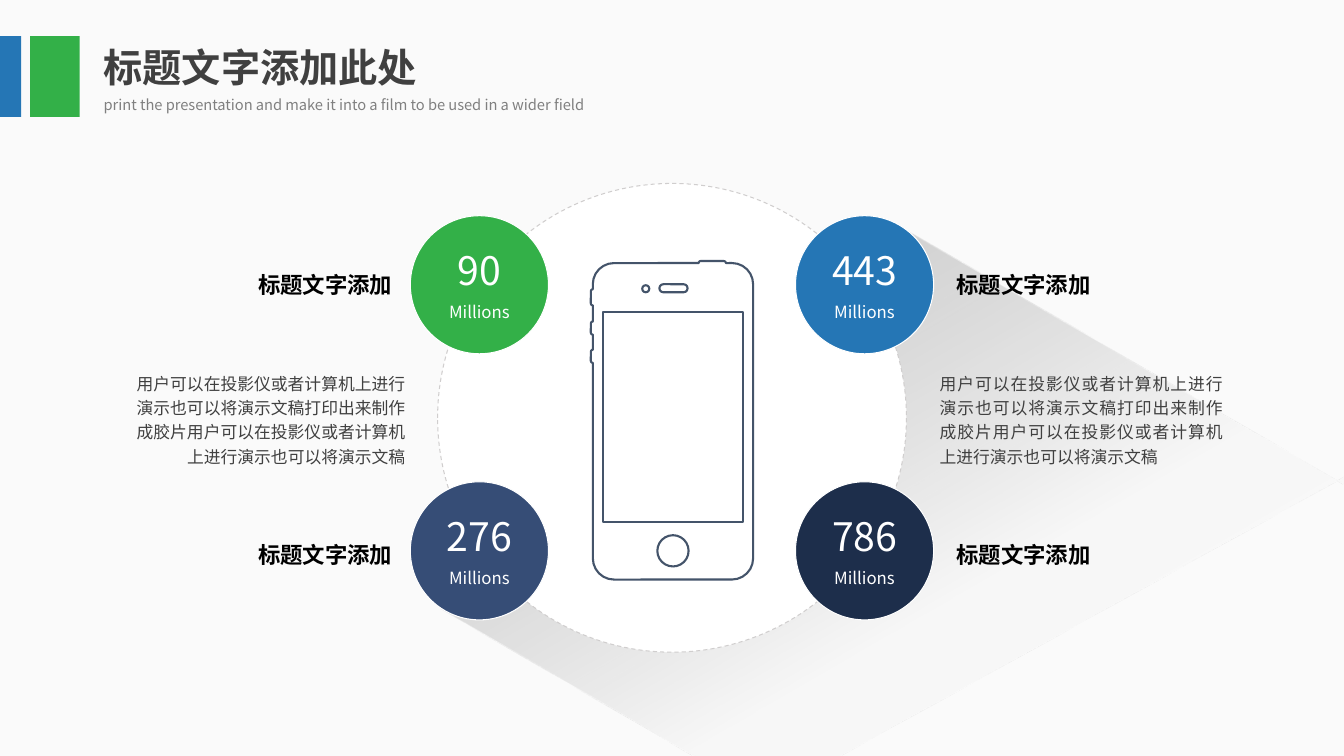
import lxml.etree
import pptx
import pptx.dml.color
import pptx.enum.dml
import pptx.enum.shapes
import pptx.enum.text
import pptx.oxml
import pptx.oxml.ns
import pptx.util

Inches = pptx.util.Inches
Pt = pptx.util.Pt
SHAPE = pptx.enum.shapes.MSO_SHAPE
ALIGN = pptx.enum.text.PP_ALIGN
FONT = "Noto Sans CJK SC"
GREEN, BLUE, WHITE, DARK_GREY = "33B048", "2576B5", "FFFFFF", "404040"
HEADING = "标题文字添加"
BODY = "用户可以在投影仪或者计算机上进行演示也可以将演示文稿打印出来制作成胶片" \
       "用户可以在投影仪或者计算机上进行演示也可以将演示文稿"


def rgb(hex_colour):
    return pptx.dml.color.RGBColor.from_string(hex_colour)


def add_text(text, left, top, width, height, size, colour,
             align=ALIGN.LEFT, bold=False, spacing=1.0, inset=True):
    box = page.shapes.add_textbox(Inches(left), Inches(top), Inches(width), Inches(height))
    frame = box.text_frame
    frame.word_wrap = True
    if not inset:
        frame.margin_left = frame.margin_right = frame.margin_top = frame.margin_bottom = 0
    para = frame.paragraphs[0]
    para.alignment = align
    para.line_spacing = spacing
    span = para.add_run()
    span.text = text
    span.font.size = Pt(size)
    span.font.bold = bold
    span.font.color.rgb = rgb(colour)
    span.font.name = FONT
    east_asian = lxml.etree.SubElement(span.font._element, pptx.oxml.ns.qn("a:ea"))
    east_asian.set("typeface", FONT)


deck = pptx.Presentation()
deck.slide_width = Inches(13.33)
deck.slide_height = Inches(7.5)
page = deck.slides.add_slide(deck.slide_layouts[6])
page.background.fill.solid()
page.background.fill.fore_color.rgb = rgb("FAFAFA")

# Long shadow cast to the lower right
corners = [(13.33, 4.81), (13.33, 4.73), (7.59, 7.9), (4.37, 6.03), (8.92, 2.25)]
corners = [(Inches(x), Inches(y)) for x, y in corners]
builder = page.shapes.build_freeform(*corners[0])
builder.add_line_segments(corners[1:], close=True)
long_shadow = builder.convert_to_shape()
long_shadow.shadow.inherit = False
long_shadow.line.fill.background()
long_shadow.fill.background()
stops = "".join(
    f'<a:gs pos="{position * 1000}"><a:srgbClr val="{colour}">'
    f'<a:alpha val="{alpha * 1000}"/></a:srgbClr></a:gs>'
    for position, colour, alpha in [(0, "000000", 20), (61, "F2F2F2", 34), (100, "F2F2F2", 0)])
gradient = pptx.oxml.parse_xml(
    f'<a:gradFill {pptx.oxml.ns.nsdecls("a")} rotWithShape="1"><a:gsLst>{stops}</a:gsLst>'
    '<a:lin ang="3600000" scaled="0"/></a:gradFill>')
properties = long_shadow._element.spPr
properties.replace(properties.find(pptx.oxml.ns.qn("a:noFill")), gradient)

# Discs and title bars: preset, left, top, width, height, fill, line
LEFT_X, RIGHT_X, UPPER_Y, LOWER_Y = 4.07, 7.89, 2.14, 4.78
figures = [
    ("90", LEFT_X, UPPER_Y, GREEN),
    ("276", LEFT_X, LOWER_Y, "364D76"),
    ("443", RIGHT_X, UPPER_Y, BLUE),
    ("786", RIGHT_X, LOWER_Y, "1D2E4B"),
]
solids = [(SHAPE.OVAL, 4.34, 1.82, 4.65, 4.65, WHITE, "D0CECE")]
solids += [(SHAPE.OVAL, x, y, 1.37, 1.37, colour, WHITE) for _, x, y, colour in figures]
solids += [(SHAPE.RECTANGLE, 0.3, 0.36, 0.49, 0.8, GREEN, None),
           (SHAPE.RECTANGLE, 0, 0.36, 0.21, 0.8, BLUE, None)]
for preset, left, top, width, height, fill, line in solids:
    solid = page.shapes.add_shape(preset, Inches(left), Inches(top), Inches(width), Inches(height))
    solid.shadow.inherit = False
    solid.fill.solid()
    solid.fill.fore_color.rgb = rgb(fill)
    if line is None:
        solid.line.fill.background()
    else:
        solid.line.color.rgb = rgb(line)
        solid.line.width = Pt(0.75)
    if fill == WHITE:
        solid.line.dash_style = pptx.enum.dml.MSO_LINE.DASH

for number, x, y, _ in figures:
    add_text(number, x + 0.04, y + 0.3, 1.29, 0.65, 28, WHITE, ALIGN.CENTER, inset=False)
    add_text("Millions", x + 0.04, y + 0.85, 1.29, 0.25, 12, WHITE, ALIGN.CENTER, inset=False)

add_text("标题文字添加此处", 0.93, 0.38, 3.6, 0.57, 28, DARK_GREY, bold=True)
add_text("print the presentation and make it into a film to be used in a wider field",
         0.93, 0.87, 5.34, 0.3, 10.5, "808080", spacing=1.2)

for heading_x, body_x, align in [(9.39, 9.22, ALIGN.JUSTIFY), (1.75, 1.11, ALIGN.RIGHT)]:
    add_text(BODY, body_x, 3.62, 3.01, 1.07, 12, DARK_GREY, align, spacing=1.2)
    for heading_y in (2.59, 5.27):
        add_text(HEADING, heading_x, heading_y, 2.24, 0.4, 16, "000000", align,
                 bold=True, spacing=1.2)

# Phone: each contour is a chain of corners (centre x, centre y, radius, start angle),
# each a clockwise quarter turn, joined by straight lines
phone_body = [(6.95, 2.61, 0.02, 180), (7.18, 2.61, 0.02, 270),
              (7.26, 2.82, 0.21, 270), (7.26, 5.54, 0.21, 0), (6.09, 5.54, 0.21, 90)]
for button_top, button_bottom in [(3.47, 3.6), (3.19, 3.32), (2.87, 3.03)]:
    phone_body += [(5.88, button_bottom - 0.02, 0.02, 90), (5.88, button_top + 0.02, 0.02, 180)]
phone_body.append((6.09, 2.82, 0.21, 180))
contours = [phone_body]
for left, top, right, bottom, radius in [
    (6.54, 2.82, 6.82, 2.9, 0.04),    # speaker
    (6.37, 2.83, 6.44, 2.9, 0.035),   # camera
    (5.98, 3.1, 7.37, 5.18, 0),       # screen
    (6.52, 5.31, 6.83, 5.62, 0.155),  # home button
]:
    contours.append([(left + radius, top + radius, radius, 180),
                     (right - radius, top + radius, radius, 270),
                     (right - radius, bottom - radius, radius, 0),
                     (left + radius, bottom - radius, radius, 90)])

PHONE_LEFT, PHONE_TOP, PHONE_RIGHT, PHONE_BOTTOM = 5.86, 2.59, 7.47, 5.75
builder = page.shapes.build_freeform(Inches(PHONE_LEFT), Inches(PHONE_TOP))
builder.add_line_segments([(Inches(PHONE_RIGHT), Inches(PHONE_TOP)),
                           (Inches(PHONE_RIGHT), Inches(PHONE_BOTTOM))], close=True)
phone = builder.convert_to_shape()
phone.shadow.inherit = False
phone.fill.background()
phone.line.color.rgb = rgb("44546A")
phone.line.width = Pt(1.5)

# Quarter-turn arcs replace the straight frame of the phone
outline = next(phone._element.iter(pptx.oxml.ns.qn("a:path")))
for step in list(outline):
    outline.remove(step)
directions = {0: (1, 0), 90: (0, 1), 180: (-1, 0), 270: (0, -1)}
for contour in contours:
    for index, (centre_x, centre_y, radius, start) in enumerate(contour):
        across, down = directions[start]
        step = lxml.etree.SubElement(
            outline, pptx.oxml.ns.qn("a:lnTo" if index else "a:moveTo"))
        point = lxml.etree.SubElement(step, pptx.oxml.ns.qn("a:pt"))
        point.set("x", str(int(Inches(centre_x + across * radius - PHONE_LEFT))))
        point.set("y", str(int(Inches(centre_y + down * radius - PHONE_TOP))))
        if radius:
            arc = lxml.etree.SubElement(outline, pptx.oxml.ns.qn("a:arcTo"))
            arc.set("wR", str(int(Inches(radius))))
            arc.set("hR", str(int(Inches(radius))))
            arc.set("stAng", str(start * 60000))
            arc.set("swAng", "5400000")
    lxml.etree.SubElement(outline, pptx.oxml.ns.qn("a:close"))

deck.save("out.pptx")
